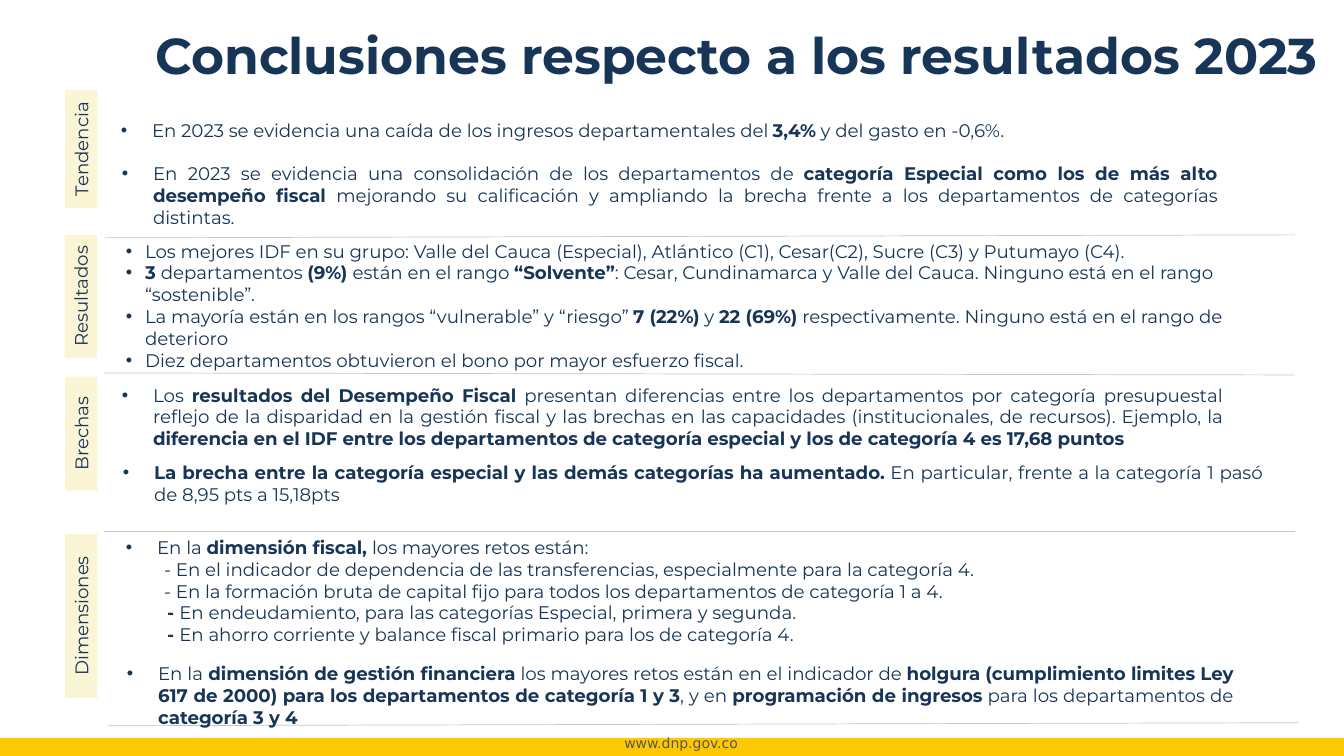
from lxml.etree import SubElement
from pptx import Presentation
from pptx.dml.color import RGBColor
from pptx.enum.shapes import MSO_CONNECTOR, MSO_SHAPE
from pptx.enum.text import MSO_ANCHOR, PP_ALIGN
from pptx.oxml.ns import qn
from pptx.util import Emu, Pt

PX = 9144  # 100 px to the inch
COLORS = {"navy": "173557", "gold": "FFC802", "cream": "FAF5D5",
          "rule": "C6C6C6", "gray": "575756", "white": "FFFFFF"}


def color(name):
    return RGBColor.from_string(COLORS[name])


class Board:
    font = "Montserrat"
    size = 13

    def __init__(self, deck):
        self.shapes = deck.slides.add_slide(deck.slide_layouts[6]).shapes

    def style(self, para, size=size, ink="navy", font=font, align=PP_ALIGN.LEFT):
        para.alignment = align
        para.font.size = Pt(size)
        para.font.name = font
        para.font.color.rgb = color(ink)

    def block(self, box, fill, text="", turn=0, **look):
        shape = self.shapes.add_shape(MSO_SHAPE.RECTANGLE, *(Emu(n * PX) for n in box))
        shape.shadow.inherit = False
        shape.fill.solid()
        shape.fill.fore_color.rgb = color(fill)
        shape.line.fill.background()
        shape.rotation = turn
        if text:
            frame = shape.text_frame
            frame.vertical_anchor = MSO_ANCHOR.MIDDLE
            frame.text = text
            self.style(frame.paragraphs[0], **look)
        return shape

    def text(self, box, lines, hang=0, **look):
        """Each line is (text, indent); an indent of 0 gives a bullet when hang is set."""
        frame = self.shapes.add_textbox(*(Emu(n * PX) for n in box)).text_frame
        frame.word_wrap = True
        for i, (words, indent) in enumerate(lines):
            para = frame.paragraphs[0] if i == 0 else frame.add_paragraph()
            self.style(para, **look)
            # Bold parts stand between double asterisks
            for j, part in enumerate(words.split("**")):
                if part:
                    run = para.add_run()
                    run.text = part
                    if j % 2:
                        run.font.bold = True
            props = para._p.get_or_add_pPr()
            if indent:
                props.set("marL", str(indent * PX))
            elif hang:
                self.bullet(props, hang)

    def bullet(self, props, hang):
        props.set("marL", str(hang * PX))
        props.set("indent", str(-hang * PX))
        face = SubElement(props, qn("a:buFont"))
        face.set("typeface", "Arial")
        SubElement(props, qn("a:buChar")).set("char", "•")
        # Bullet parts come before the default run style
        tail = props.find(qn("a:defRPr"))
        if tail is not None:
            props.append(tail)

    def rule(self, *ends):
        line = self.shapes.add_connector(MSO_CONNECTOR.STRAIGHT, *(Emu(n * PX) for n in ends))
        line.line.color.rgb = color("rule")
        line.line.width = Pt(0.5)
        SubElement(line._element.spPr, qn("a:effectLst"))

    def label(self, text, top, length):
        # Turned a quarter about its centre, so it stands upright at the left
        width, mid = 32, 80
        box = (mid - length // 2, top + (length - width) // 2, length, width)
        self.block(box, "cream", text, turn=270, align=PP_ALIGN.CENTER)


deck = Presentation()
deck.slide_width, deck.slide_height = Emu(1333 * PX), Emu(750 * PX)
board = Board(deck)

# Footer
board.block((0, 732, 1333, 20), "gold")
board.text((570, 724, 211, 27), [("www.dnp.gov.co", 0)], size=10, ink="gray",
           font="DejaVu Sans", align=PP_ALIGN.CENTER)

# Title
title = board.block((144, 25, 1176, 65), "white",
                    "Conclusiones respecto a los resultados 2023", size=36)
head = title.text_frame.paragraphs[0]
head.font.bold = True
head.line_spacing = 0.9

# Section labels
for name, top, length in (("Tendencia", 90, 117), ("Resultados", 233, 122),
                          ("Brechas", 374, 113), ("Dimensiones", 530, 163)):
    board.label(name, top, length)

# Dividers
for ends in ((103, 236, 1284, 233), (103, 370, 1284, 372),
             (103, 527, 1284, 527), (107, 720, 1288, 717)):
    board.rule(*ends)

# Results
board.text((115, 233, 1178, 185), [
    ("Los mejores IDF en su grupo: Valle del Cauca (Especial), Atlántico (C1), "
     "Cesar(C2), Sucre (C3) y Putumayo (C4).", 0),
    ("**3 **departamentos **(9%) **están en el rango **“Solvente”**: Cesar, Cundinamarca "
     "y Valle del Cauca. Ninguno está en el rango “sostenible”.", 0),
    ("La mayoría están en los rangos “vulnerable” y “riesgo” **7 (22%)** y **22 (69%) **"
     "respectivamente. Ninguno está en el rango de deterioro", 0),
    ("Diez departamentos obtuvieron el bono por mayor esfuerzo fiscal.", 0),
], hang=19)

# Trend, gaps and dimensions
for box, lines in (
    ((110, 113, 1037, 32), [
        ("En 2023 se evidencia una caída de los ingresos departamentales del "
         "**3,4%** y del gasto en -0,6%.", 0)]),
    ((111, 156, 1106, 76), [
        ("En 2023 se evidencia una consolidación de los departamentos de **categoría "
         "Especial como los de más alto desempeño fiscal **mejorando su calificación y "
         "ampliando la brecha frente a los departamentos de categorías distintas.", 0)]),
    ((111, 376, 1111, 76), [
        ("Los **resultados del Desempeño Fiscal **presentan diferencias entre los "
         "departamentos por categoría presupuestal reflejo de la disparidad en la gestión "
         "fiscal y las brechas en las capacidades (institucionales, de recursos). Ejemplo, "
         "la **diferencia en el IDF entre los departamentos de categoría especial y los de "
         "categoría 4 es 17,68 puntos**", 0)]),
    ((112, 453, 1150, 54), [
        ("**La brecha entre la categoría especial y las demás categorías ha aumentado. **"
         "En particular, frente a la categoría 1 pasó de 8,95 pts a 15,18pts", 0)]),
    ((115, 527, 1118, 119), [
        ("En la **dimensión fiscal, **los mayores retos están:", 0),
        ("- En el indicador de dependencia de las transferencias, especialmente para la "
         "categoría 4.", 38),
        ("- En la formación bruta de capital fijo para todos los departamentos de "
         "categoría 1 a 4.", 38),
        ("**- **En endeudamiento, para las categorías Especial, primera y segunda.", 41),
        ("**- **En ahorro corriente y balance fiscal primario para los de categoría 4.", 41)]),
    ((116, 652, 1117, 76), [
        ("En la** dimensión de gestión financiera **los mayores retos están en el indicador "
         "de **holgura (cumplimiento limites Ley 617 de 2000) para los departamentos de "
         "categoría 1 y 3**, y en **programación de ingresos** para los departamentos de "
         "**categoría 3 y 4**", 0)]),
):
    board.text(box, lines, hang=31, align=PP_ALIGN.JUSTIFY)

deck.save("out.pptx")
